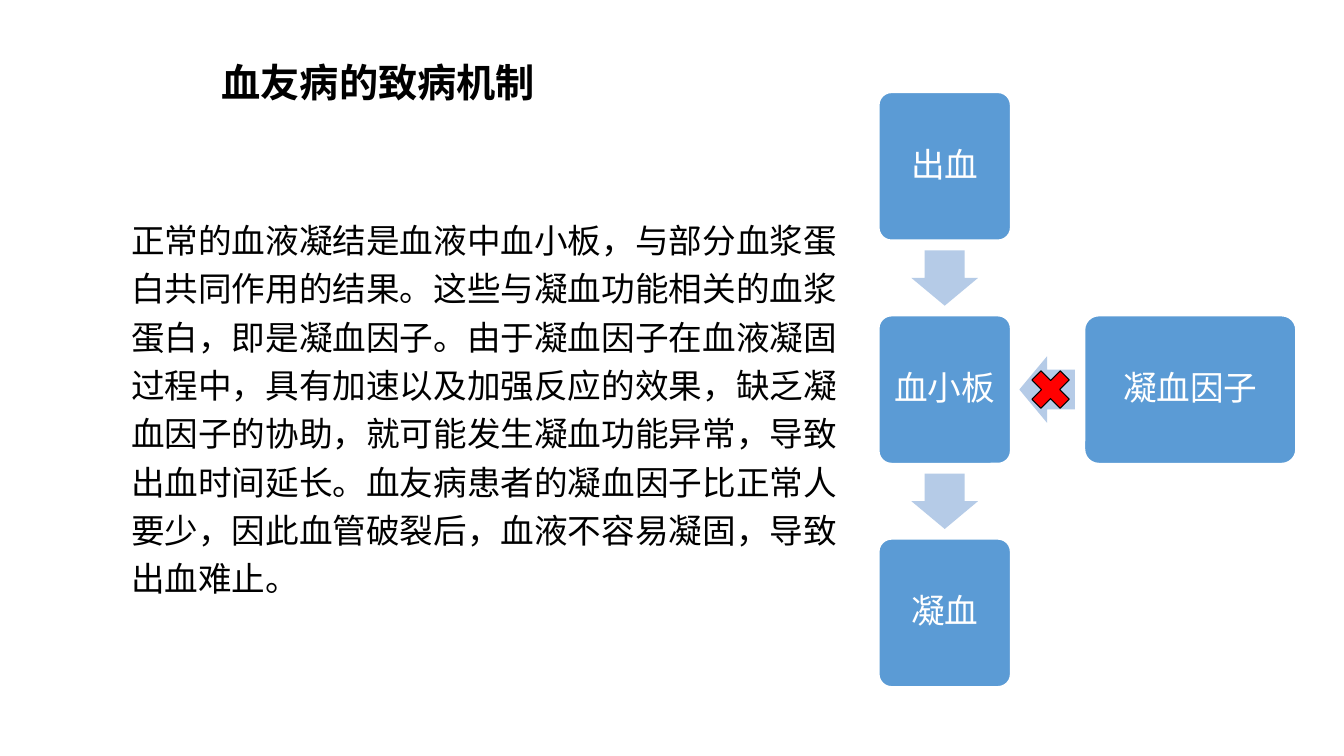
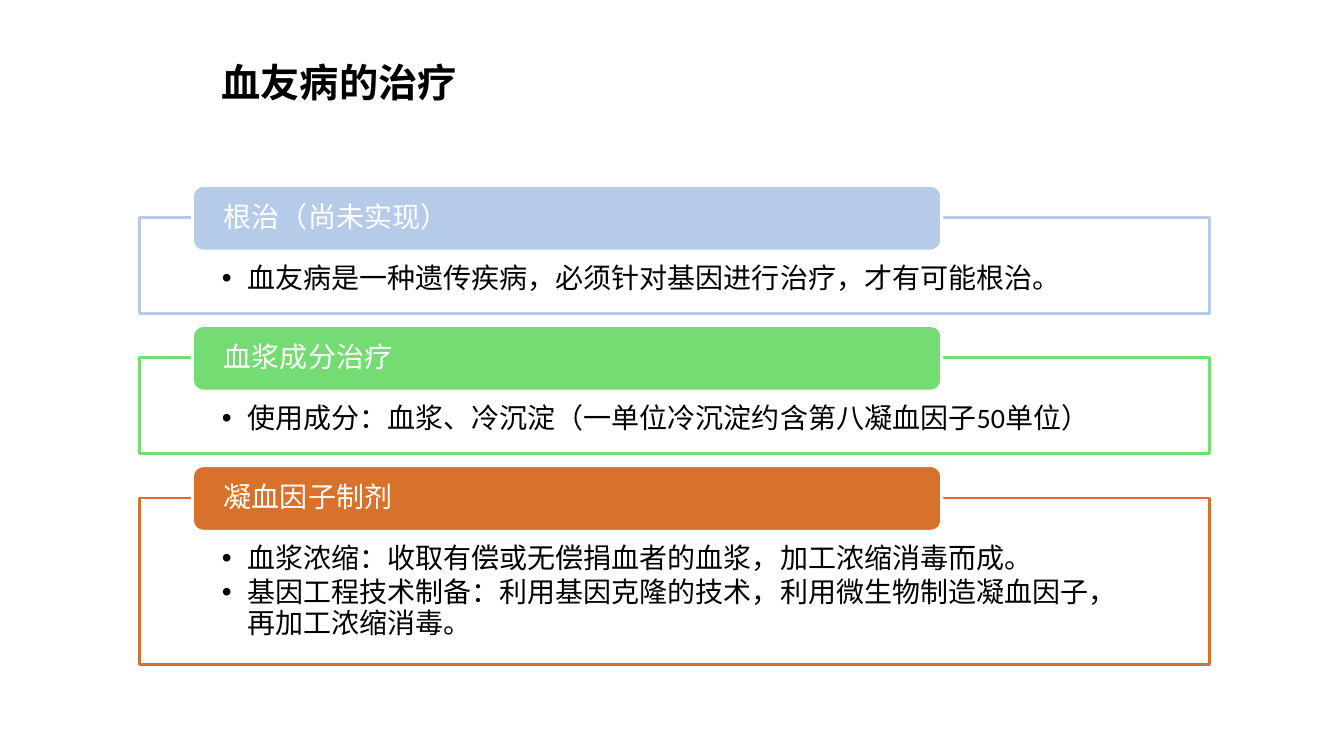
from lxml.etree import SubElement
from pptx import Presentation
from pptx.dml.color import RGBColor
from pptx.enum.shapes import MSO_SHAPE as SHAPE
from pptx.enum.text import MSO_ANCHOR as ANCHOR, PP_ALIGN as ALIGN
from pptx.oxml.ns import qn
from pptx.util import Pt

PX = 9144
HAN = "Noto Sans CJK SC"
LATIN = "Calibri"
HEX = {
    "ink": "000000", "paper": "FFFFFF", "blue": "5B9BD5",
    "pale": "B5CBE7", "green": "75DC73", "orange": "D7712B", "red": "FF0000",
}
STYLES = {
    "title": {
        "frame": {"vertical_anchor": ANCHOR.TOP}, "pad": (10, 5, 10, 5),
        "para": {"alignment": ALIGN.LEFT},
        "font": {"name": HAN, "size": Pt(28), "bold": True}, "ink": "ink",
    },
    "body": {
        "frame": {"vertical_anchor": ANCHOR.TOP}, "pad": (0, 0, 0, 0),
        "para": {"alignment": ALIGN.LEFT, "line_spacing": 1.2},
        "font": {"name": HAN, "size": Pt(24)}, "ink": "ink",
    },
    "node": {
        "frame": {"vertical_anchor": ANCHOR.MIDDLE}, "pad": (10, 10, 10, 10),
        "para": {"alignment": ALIGN.CENTER, "line_spacing": 0.9},
        "font": {"name": LATIN, "size": Pt(24)}, "ink": "paper",
    },
    "head": {
        "frame": {"vertical_anchor": ANCHOR.MIDDLE}, "pad": (28, 0, 28, 0),
        "para": {"alignment": ALIGN.LEFT, "line_spacing": 0.9},
        "font": {"name": LATIN, "size": Pt(20)}, "ink": "paper",
    },
    "list": {
        "frame": {"vertical_anchor": ANCHOR.TOP}, "pad": (82, 46, 82, 16),
        "para": {"alignment": ALIGN.LEFT, "line_spacing": 0.9, "space_after": Pt(3), "level": 1},
        "font": {"name": LATIN, "size": Pt(20)}, "ink": "ink", "indent": 25,
    },
}
CAUSE = (
    "正常的血液凝结是血液中血小板，与部分血浆蛋白共同作用的结果。"
    "这些与凝血功能相关的血浆蛋白，即是凝血因子。"
    "由于凝血因子在血液凝固过程中，具有加速以及加强反应的效果，"
    "缺乏凝血因子的协助，就可能发生凝血功能异常，导致出血时间延长。"
    "血友病患者的凝血因子比正常人要少，因此血管破裂后，血液不容易凝固，导致出血难止。"
)
CURES = [
    ("根治（尚未实现）", "pale", 95, ["血友病是一种遗传疾病，必须针对基因进行治疗，才有可能根治。"]),
    ("血浆成分治疗", "green", 95, ["使用成分：血浆、冷沉淀（一单位冷沉淀约含第八凝血因子50单位）"]),
    ("凝血因子制剂", "orange", 165, [
        "血浆浓缩：收取有偿或无偿捐血者的血浆，加工浓缩消毒而成。",
        "基因工程技术制备：利用基因克隆的技术，利用微生物制造凝血因子，再加工浓缩消毒。",
    ]),
]


def tint(name):
    """Return the named colour."""
    return RGBColor.from_string(HEX[name])


def scale(box):
    """Turn px lengths into whole EMU."""
    return [round(side * PX) for side in box]


def apply(target, values):
    """Set each named attribute on the target."""
    for key, value in values.items():
        setattr(target, key, value)


def bullet(para, indent):
    """Give a paragraph a hanging bullet."""
    props = para._p.get_or_add_pPr()
    props.set("marL", str(indent * PX))
    props.set("indent", str(-indent * PX))
    SubElement(props, qn("a:buFont"), typeface="Arial")
    SubElement(props, qn("a:buChar"), char="•")


def write(shape, lines, kind):
    """Fill a shape with lines of text in one style."""
    style = STYLES[kind]
    frame = shape.text_frame
    sides = ("margin_left", "margin_top", "margin_right", "margin_bottom")
    apply(frame, {"word_wrap": True, **style["frame"], **dict(zip(sides, scale(style["pad"])))})
    for index, line in enumerate(lines):
        para = frame.add_paragraph() if index else frame.paragraphs[0]
        apply(para, style["para"])
        if "indent" in style:
            bullet(para, style["indent"])
        run = para.add_run()
        run.text = line
        apply(run.font, style["font"])
        run.font.color.rgb = tint(style["ink"])
        SubElement(run._r.get_or_add_rPr(), qn("a:ea"), typeface=HAN)


def label(slide, box, text, kind):
    """Place a plain text box."""
    write(slide.shapes.add_textbox(*scale(box)), [text], kind)


def draw(slide, form, box, fill, line=None, width=2, bends=()):
    """Place a flat preset shape."""
    shape = slide.shapes.add_shape(form, *scale(box))
    shape.shadow.inherit = False
    shape.fill.solid()
    shape.fill.fore_color.rgb = tint(fill)
    if line:
        shape.line.color.rgb = tint(line)
        shape.line.width = Pt(width)
    else:
        shape.line.fill.background()
    for index, bend in enumerate(bends):
        shape.adjustments[index] = bend
    return shape


def node(slide, box, text):
    """Place one blue step of the flow."""
    shape = draw(slide, SHAPE.ROUNDED_RECTANGLE, box, "blue", "paper", bends=[0.1])
    write(shape, [text], "node")


def flow(slide, box):
    """Place the clotting steps, their arrows and the blocked factor."""
    left, top, width, height = box
    wide, tall, side = 132, 148, 211
    long, thick, cross = 55, 66, 54
    steps = ["出血", "血小板", "凝血"]
    pitch = (height - tall) / (len(steps) - 1)
    for index, text in enumerate(steps):
        y = top + index * pitch
        if index:
            gap = (pitch - tall - long) / 2
            spot = (left + (wide - thick) / 2, y - gap - long, thick, long)
            draw(slide, SHAPE.DOWN_ARROW, spot, "pale", bends=[0.6, 0.5])
        node(slide, (left, y, wide, tall), text)
    y = top + pitch
    mid = y + tall / 2
    spot = (left + wide + 8, mid - thick / 2, long, thick)
    draw(slide, SHAPE.LEFT_ARROW, spot, "pale", bends=[0.6, 0.5])
    node(slide, (left + width - side, y, side, tall), "凝血因子")
    spot = (left + wide + 12, mid - cross / 2, cross, cross)
    draw(slide, SHAPE.MATH_MULTIPLY, spot, "red", "ink", 0.75)


def panel(slide, box, head, tone, lines):
    """Place a framed list with a tab across its top edge."""
    left, top, width, _ = box
    frame = draw(slide, SHAPE.RECTANGLE, box, "paper", tone)
    write(frame, lines, "list")
    spot = (left + 53, top - 32, round(width * 0.7), 65)
    write(draw(slide, SHAPE.ROUNDED_RECTANGLE, spot, tone, "paper"), [head], "head")


def stack(slide, box):
    """Place the cures one below another."""
    left, top, width = box
    for head, tone, height, lines in CURES:
        panel(slide, (left, top, width, height), head, tone, lines)
        top += height + 44


def page(deck, title):
    """Add a blank slide with its title."""
    slide = deck.slides.add_slide(deck.slide_layouts[6])
    label(slide, (210, 53, 400, 57), title, "title")
    return slide


def main():
    """Build and save the deck."""
    deck = Presentation()
    deck.slide_width, deck.slide_height = scale((1333, 750))
    cause = page(deck, "血友病的致病机制")
    label(cause, (130, 210, 706, 388), CAUSE, "body")
    flow(cause, (871, 91, 415, 591))
    cure = page(deck, "血友病的治疗")
    stack(cure, (138, 216, 1062))
    deck.save("out.pptx")


if __name__ == "__main__":
    main()
